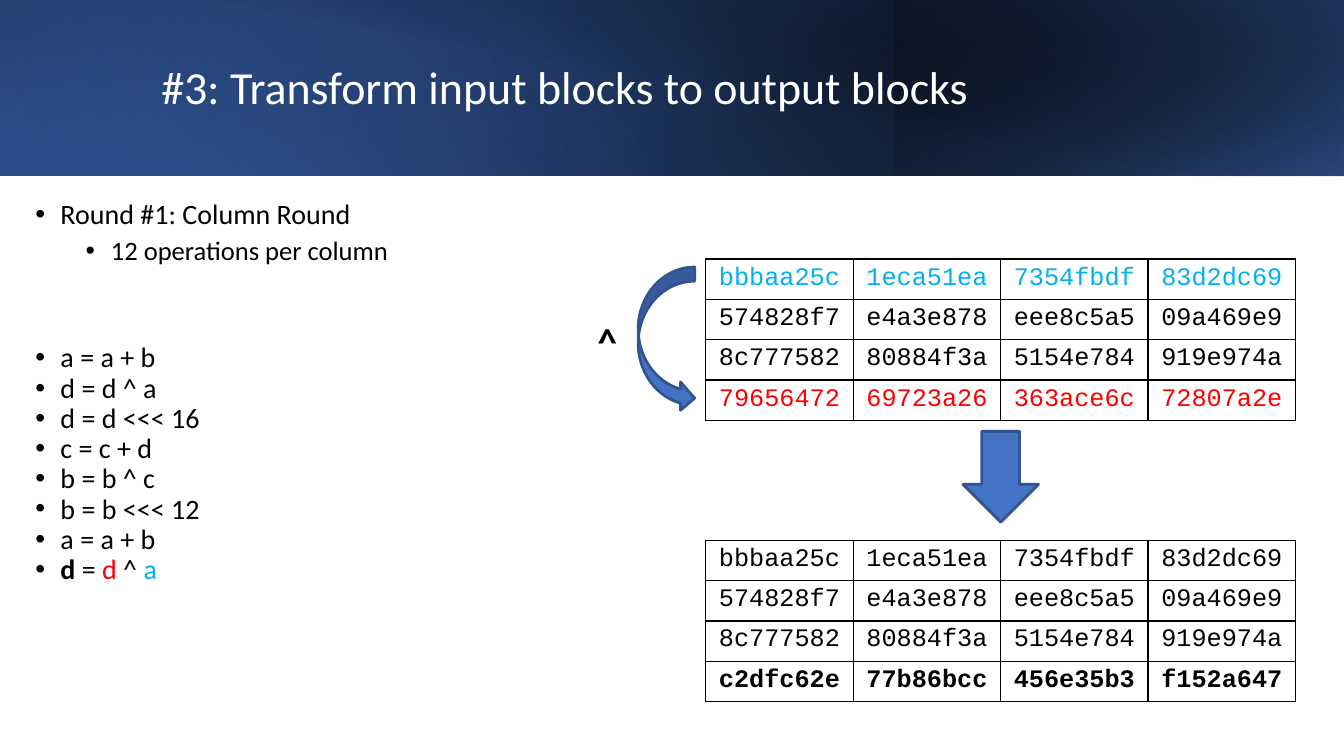
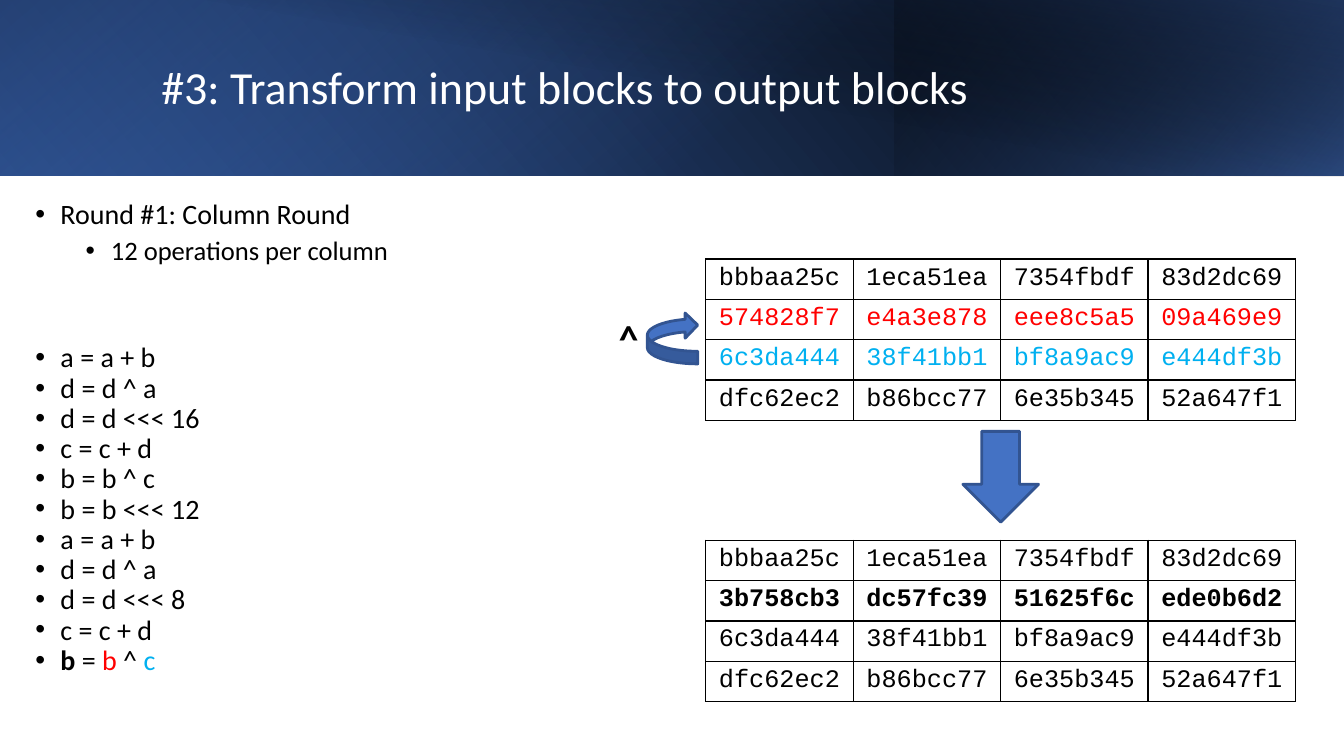
from pptx import Presentation
from pptx.dml.color import RGBColor
from pptx.enum.shapes import MSO_SHAPE
from pptx.enum.text import MSO_ANCHOR, MSO_AUTO_SIZE, PP_ALIGN
from pptx.oxml import parse_xml
from pptx.oxml.ns import nsdecls, qn
from pptx.util import Inches, Pt

COLORS = {
    "black": "000000",
    "white": "FFFFFF",
    "blue": "4472C4",
    "outline": "325491",
    "royal": "2F5597",
    "navy": "203864",
    "target": "FF0000",
    "source": "00B0F0",
}
TEXT_FONT = "Calibri"
CODE_FONT = "Courier New"
TITLE = "#3: Transform input blocks to output blocks"

# Each stop is (position %, colour, opacity %).
BANDS = [
    {"at": (0, 0, 13.33, 1.74), "flip": True, "turn": 0, "angle": 40,
     "stops": [(0, "black", 100), (100, "royal", 100)]},
    {"at": (0, 0, 8.87, 1.74), "flip": True, "turn": 180, "angle": 130,
     "stops": [(20, "blue", 0), (100, "navy", 55)]},
    {"at": (8.87, 0, 4.46, 1.74), "flip": True, "turn": 0, "angle": 320,
     "stops": [(0, "blue", 66), (100, "black", 30)]},
    {"at": (0.5, 0, 12.83, 1.75), "flip": False, "turn": 0, "angle": 280,
     "stops": [(50, "black", 0), (100, "navy", 52)]},
]
OPERATIONS = [
    "a = a + b", "d = d ^ a", "d = d <<< 16", "c = c + d", "b = b ^ c",
    "b = b <<< 12", "a = a + b", "d = d ^ a", "d = d <<< 8", "c = c + d",
]
STEPS = [
    {
        "done": 7, "target": "d", "source": "a",
        "state": ["bbbaa25c 1eca51ea 7354fbdf 83d2dc69",
                  "574828f7 e4a3e878 eee8c5a5 09a469e9",
                  "8c777582 80884f3a 5154e784 919e974a",
                  "79656472 69723a26 363ace6c 72807a2e"],
        "result": "c2dfc62e 77b86bcc 456e35b3 f152a647",
        "arrow": (MSO_SHAPE.CURVED_RIGHT_ARROW, (6.33, 2.65, 0.56, 1.44), 0),
        "symbol_at": (5.83, 3.1, 0.48, 0.57),
    },
    {
        "done": 10, "target": "b", "source": "c",
        "state": ["bbbaa25c 1eca51ea 7354fbdf 83d2dc69",
                  "574828f7 e4a3e878 eee8c5a5 09a469e9",
                  "6c3da444 38f41bb1 bf8a9ac9 e444df3b",
                  "dfc62ec2 b86bcc77 6e35b345 52a647f1"],
        "result": "3b758cb3 dc57fc39 51625f6c ede0b6d2",
        "arrow": (MSO_SHAPE.CURVED_LEFT_ARROW, (6.42, 3.1, 0.5, 0.51), 180),
        "symbol_at": (6.04, 3.07, 0.48, 0.57),
    },
]


def color(name):
    """Return the named colour."""
    return RGBColor.from_string(COLORS[name])


def inches(at):
    """Turn left, top, width and height into lengths."""
    return [Inches(length) for length in at]


def place(shape, at):
    """Move and size a placeholder."""
    shape.left, shape.top, shape.width, shape.height = inches(at)


def style_font(paragraph, size, name=TEXT_FONT, tint="black", bold=False):
    """Set the font that a whole paragraph shares."""
    font = paragraph.font
    font.size, font.name, font.bold = Pt(size), name, bold
    font.color.rgb = color(tint)


def add_band(page, index, band):
    """Put one gradient layer of the header behind the placeholders."""
    shape = page.shapes.add_shape(MSO_SHAPE.RECTANGLE, *inches(band["at"]))
    shape.shadow.inherit = False
    shape.line.fill.background()
    shape.fill.background()
    shape.rotation = band["turn"]
    stops = "".join(
        f'<a:gs pos="{position * 1000}"><a:srgbClr val="{COLORS[name]}">'
        f'<a:alpha val="{opacity * 1000}"/></a:srgbClr></a:gs>'
        for position, name, opacity in band["stops"])
    gradient = parse_xml(
        f'<a:gradFill {nsdecls("a")} rotWithShape="1"><a:gsLst>{stops}</a:gsLst>'
        f'<a:lin ang="{band["angle"] * 60000}" scaled="0"/></a:gradFill>')
    properties = shape.element.spPr
    properties.replace(properties.find(qn("a:noFill")), gradient)
    if band["flip"]:
        properties.get_or_add_xfrm().set("flipH", "1")
    page.shapes.element.insert(2 + index, shape.element)


def add_header(page):
    """Build the gradient header and its title."""
    for index, band in enumerate(BANDS):
        add_band(page, index, band)
    title = page.shapes.title
    place(title, (1.5, 0.32, 10.82, 1.13))
    frame = title.text_frame
    frame.text = TITLE
    frame.auto_size = MSO_AUTO_SIZE.NONE
    frame.vertical_anchor = MSO_ANCHOR.MIDDLE
    para = frame.paragraphs[0]
    para.alignment = PP_ALIGN.LEFT
    para.line_spacing = 0.9
    style_font(para, 32.8, tint="white")


def style_bullet(para, size=20, level=0, before=0):
    """Format a paragraph as a bulleted line."""
    para.level = level
    properties = para._p.get_or_add_pPr()
    properties.set("marL", str(Inches(0.25 + 0.5 * level)))
    properties.set("indent", str(Inches(-0.25)))
    for markup in (
            f'<a:buClr {nsdecls("a")}><a:srgbClr val="{COLORS["black"]}"/></a:buClr>',
            f'<a:buFont {nsdecls("a")} typeface="Arial"/>',
            f'<a:buChar {nsdecls("a")} char="•"/>'):
        properties.append(parse_xml(markup))
    para.line_spacing = 0.9
    para.space_before = Pt(before)
    style_font(para, size)


def fill_list(box, at, lines):
    """Place a body placeholder, write its lines and return its text frame."""
    place(box, at)
    frame = box.text_frame
    frame.text = "\n".join(lines)
    frame.auto_size = MSO_AUTO_SIZE.NONE
    return frame


def add_overview(box):
    """Write which round this is."""
    lines = ["Round #1: Column Round", "12 operations per column"]
    frame = fill_list(box, (0.25, 1.94, 5.41, 1.26), lines)
    style_bullet(frame.paragraphs[0])
    style_bullet(frame.paragraphs[1], size=19, level=1, before=5)


def add_operations(box, step):
    """List the finished operations and the highlighted current one."""
    frame = fill_list(box, (0.25, 3.36, 5.41, 4), OPERATIONS[:step["done"]])
    current = frame.add_paragraph()
    for para in frame.paragraphs:
        style_bullet(para)
    for text, tint in ((step["target"], None), (" = ", None),
                       (step["target"], "target"), (" ^ ", None),
                       (step["source"], "source")):
        span = current.add_run()
        span.text = text
        if tint:
            span.font.color.rgb = color(tint)
    current.runs[0].font.bold = True


def style_cell(cell, tint, bold):
    """Give a cell its borders, fill and centred code font."""
    properties = cell._tc.get_or_add_tcPr()
    for side in "LRTB":
        properties.append(parse_xml(
            f'<a:ln{side} {nsdecls("a")} w="{Pt(0.96)}"><a:solidFill>'
            f'<a:srgbClr val="{COLORS["black"]}"/></a:solidFill></a:ln{side}>'))
    cell.fill.solid()
    cell.fill.fore_color.rgb = color("white")
    para = cell.text_frame.paragraphs[0]
    para.alignment = PP_ALIGN.CENTER
    style_font(para, 18, CODE_FONT, tint, bold)


def add_state(page, top, state, tints, bold_row=None):
    """Draw a block state as a table of words."""
    rows = [line.split() for line in state]
    table = page.shapes.add_table(
        len(rows), len(rows[0]), *inches((7, top, 5.85, 1.6))).table
    table.first_row = table.horz_banding = False
    for row, words in enumerate(rows):
        for column, word in enumerate(words):
            cell = table.cell(row, column)
            cell.text = word
            style_cell(cell, tints.get(row, "black"), row == bold_row)


def add_arrow(page, kind, at, turn=0):
    """Draw a filled block arrow."""
    arrow = page.shapes.add_shape(kind, *inches(at))
    arrow.shadow.inherit = False
    arrow.rotation = turn
    arrow.fill.solid()
    arrow.fill.fore_color.rgb = color("blue")
    arrow.line.color.rgb = color("outline")
    arrow.line.width = Pt(2)


def add_symbol(page, at):
    """Write the operator beside the curved arrow."""
    frame = page.shapes.add_textbox(*inches(at)).text_frame
    frame.word_wrap = True
    frame.text = "^"
    style_font(frame.paragraphs[0], 28, bold=True)


def add_step(deck, step):
    """Build the slide of one operation."""
    page = deck.slides.add_slide(deck.slide_layouts.get_by_name("Two Content"))
    add_header(page)
    add_overview(page.placeholders[1])
    add_operations(page.placeholders[2], step)
    target, source = ("abcd".index(step[role]) for role in ("target", "source"))
    after = list(step["state"])
    after[target] = step["result"]
    add_state(page, 2.57, step["state"], {target: "target", source: "source"})
    add_state(page, 5.36, after, {}, bold_row=target)
    add_arrow(page, MSO_SHAPE.DOWN_ARROW, (9.55, 4.28, 0.75, 0.9))
    add_arrow(page, *step["arrow"])
    add_symbol(page, step["symbol_at"])


def main():
    """Build and save the deck."""
    deck = Presentation()
    deck.slide_width, deck.slide_height = Inches(13.33), Inches(7.5)
    for step in STEPS:
        add_step(deck, step)
    deck.save("out.pptx")


if __name__ == "__main__":
    main()
